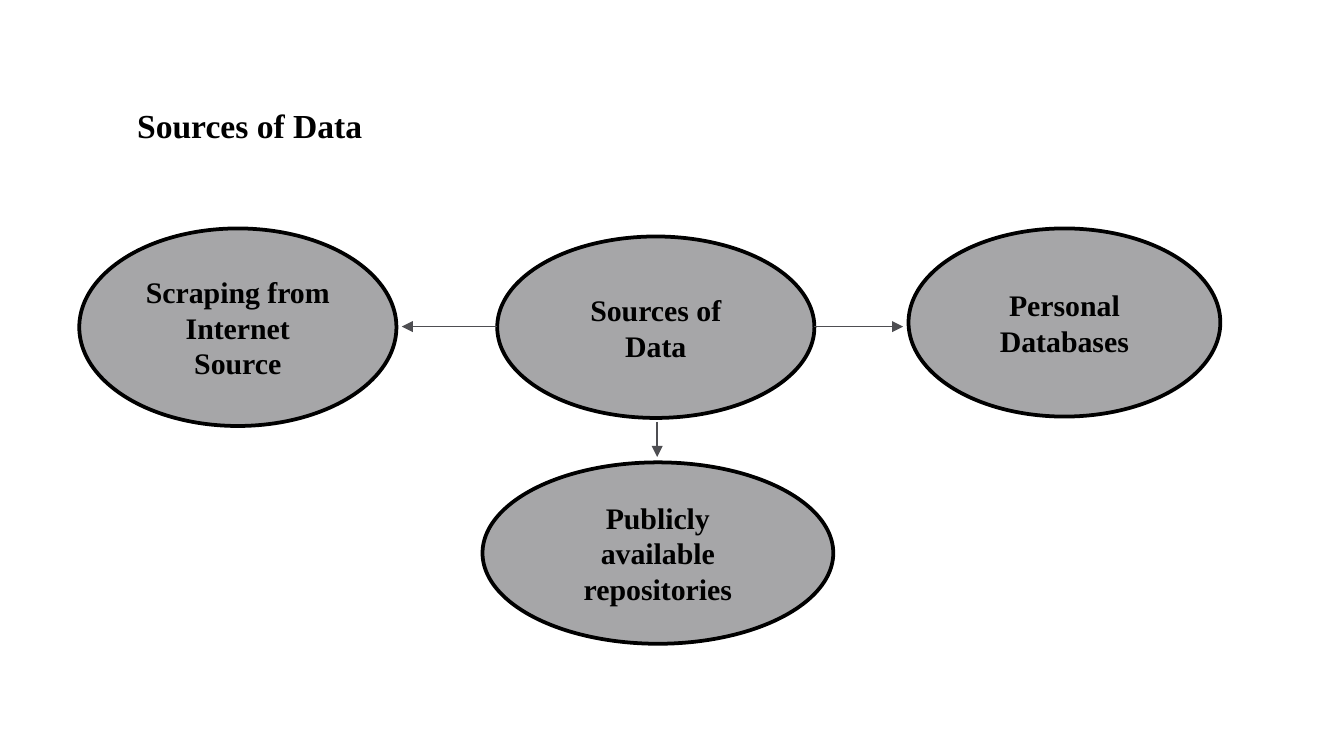
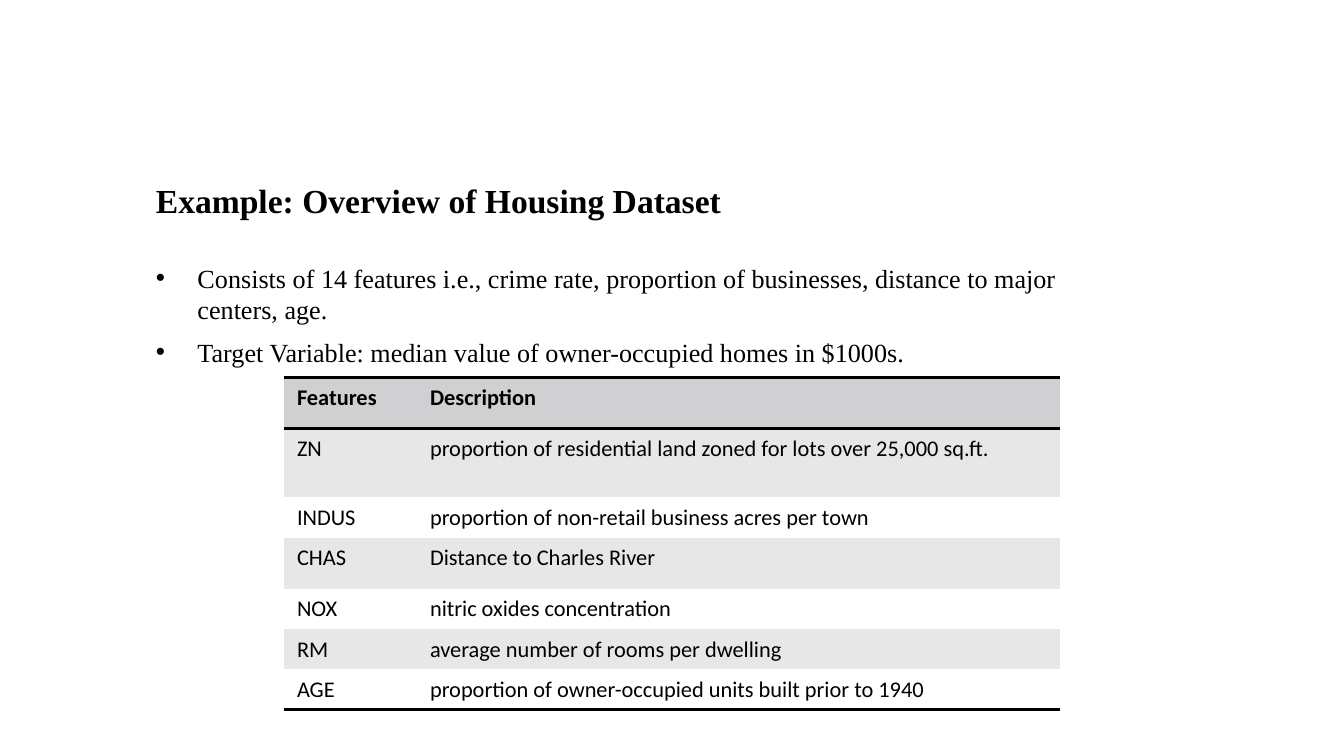
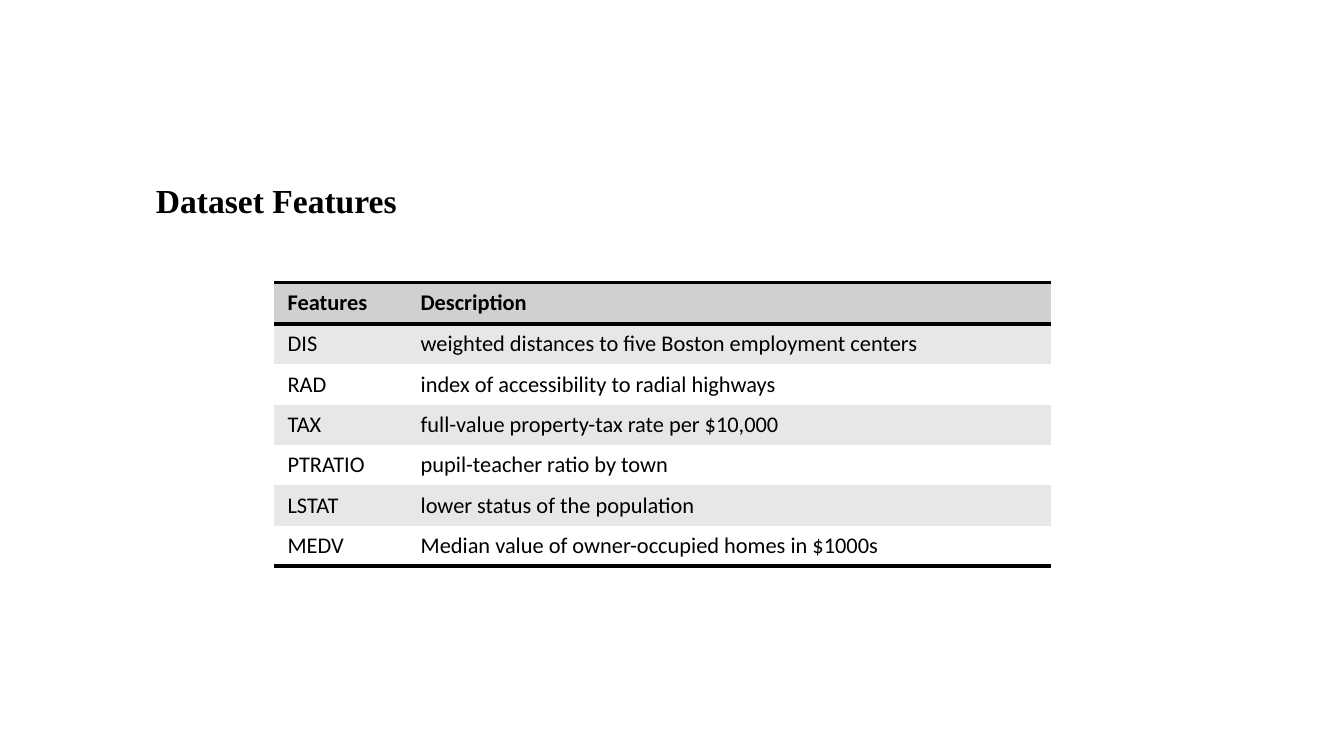
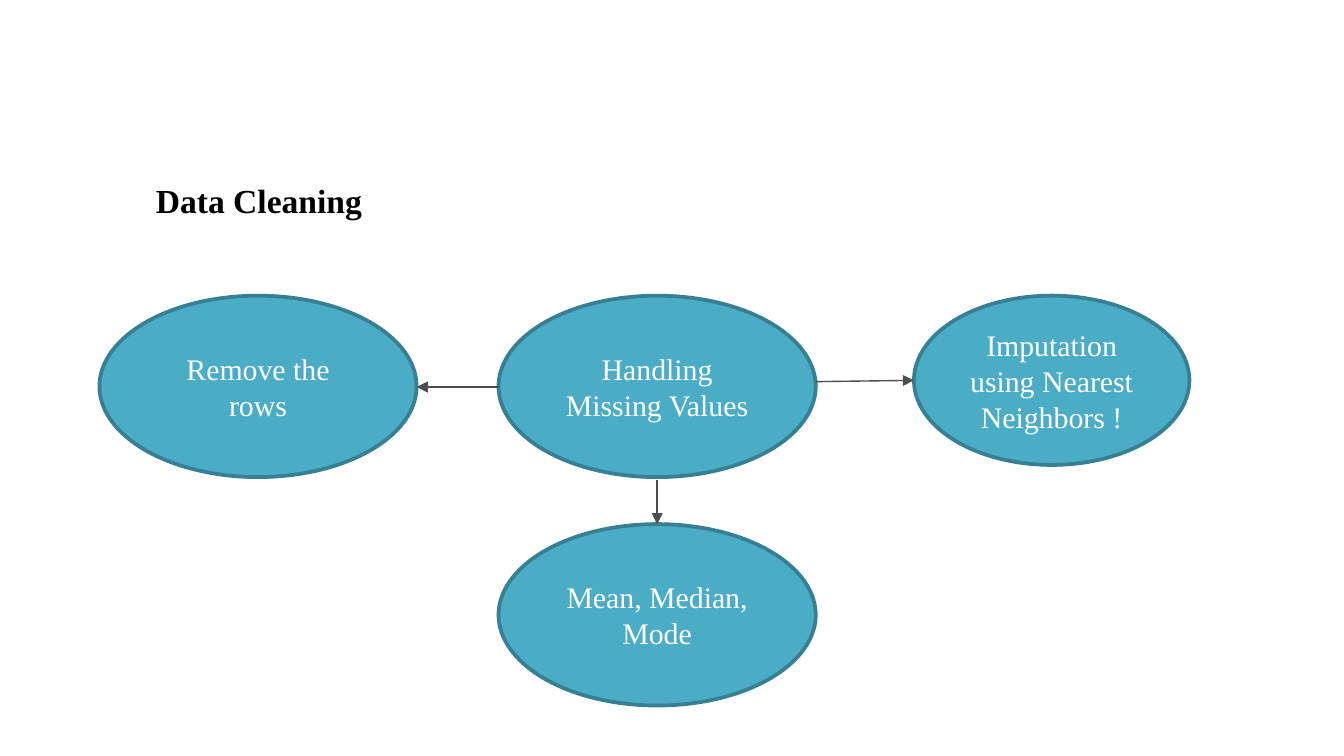
from dataclasses import dataclass

from lxml.etree import SubElement
from pptx import Presentation
from pptx.dml.color import RGBColor
from pptx.enum.shapes import MSO_CONNECTOR, MSO_SHAPE
from pptx.enum.text import MSO_ANCHOR, MSO_AUTO_SIZE, PP_ALIGN
from pptx.oxml.ns import qn
from pptx.util import Inches, Pt

SERIF = "Times New Roman"
SANS = "Calibri"
BLACK = "000000"
WHITE = "FFFFFF"
ARROW = "4E4E52"
HEADER_FILL = "D0D0D2"
BAND_FILL = "E7E7E7"
NO_TABLE_STYLE = "{2D5ABB26-0587-4C30-8999-92F81FD0307C}"
COLUMN_WIDTHS = (0.99, 4.79)


@dataclass(frozen=True)
class EllipseStyle:
    fill: str
    line: str
    font: str
    bold: bool


@dataclass(frozen=True)
class Node:
    text: str
    left: float
    top: float
    width: float
    height: float


@dataclass(frozen=True)
class Arrow:
    x1: float
    y1: float
    x2: float
    y2: float


@dataclass(frozen=True)
class Row:
    feature: str
    description: str
    height: float = 0.3


GRAY = EllipseStyle("A6A6A8", BLACK, BLACK, True)
TEAL = EllipseStyle("4BACC6", "377F92", WHITE, False)

SOURCE_NODES = [
    Node("Scraping from Internet Source", 0.59, 1.7, 2.36, 1.47),
    Node("Personal Databases", 6.76, 1.7, 2.32, 1.4),
    Node("Publicly available repositories", 3.59, 3.44, 2.61, 1.35),
    Node("Sources of Data", 3.7, 1.76, 2.36, 1.35),
]
SOURCE_ARROWS = [
    Arrow(3.7, 2.43, 2.99, 2.43),
    Arrow(4.89, 3.14, 4.89, 3.4),
    Arrow(6.06, 2.43, 6.72, 2.43),
]
CLEANING_NODES = [
    Node("Remove the rows", 0.74, 2.2, 2.36, 1.35),
    Node("Imputation using Nearest Neighbors !", 6.8, 2.2, 2.05, 1.26),
    Node("Mean, Median, Mode", 3.71, 3.9, 2.36, 1.35),
    Node("Handling Missing Values", 3.71, 2.2, 2.36, 1.35),
]
CLEANING_ARROWS = [
    Arrow(3.71, 2.88, 3.1, 2.88),
    Arrow(4.89, 3.57, 4.89, 3.9),
    Arrow(6.07, 2.84, 6.8, 2.83),
]
OVERVIEW_BULLETS = [
    "Consists of 14 features i.e., crime rate, proportion of businesses, "
    "distance to major centers, age.",
    "Target Variable: median value of owner-occupied homes in $1000s.",
]
OVERVIEW_ROWS = [
    Row("Features", "Description", 0.38),
    Row("ZN", "proportion of residential land zoned for lots over 25,000 sq.ft.", 0.51),
    Row("INDUS", "proportion of non-retail business acres per town"),
    Row("CHAS", "Distance to Charles River", 0.38),
    Row("NOX", "nitric oxides concentration"),
    Row("RM", "average number of rooms per dwelling"),
    Row("AGE", "proportion of owner-occupied units built prior to 1940"),
]
FEATURE_ROWS = [
    Row("Features", "Description", 0.31),
    Row("DIS", "weighted distances to ﬁve Boston employment centers"),
    Row("RAD", "index of accessibility to radial highways"),
    Row("TAX", "full-value property-tax rate per $10,000"),
    Row("PTRATIO", "pupil-teacher ratio by town"),
    Row("LSTAT", "lower status of the population"),
    Row("MEDV", "Median value of owner-occupied homes in $1000s"),
]


def rgb(value: str) -> RGBColor:
    return RGBColor.from_string(value)


def format_font(font, size: float, color: str, bold: bool = False, name: str = SERIF) -> None:
    font.name = name
    font.size = Pt(size)
    font.bold = bold
    font.color.rgb = rgb(color)


def format_frame(tf) -> None:
    tf.word_wrap = True
    tf.auto_size = MSO_AUTO_SIZE.SHAPE_TO_FIT_TEXT
    tf.vertical_anchor = MSO_ANCHOR.TOP
    tf.margin_left = tf.margin_right = tf.margin_top = tf.margin_bottom = 0


def add_titled_slide(prs, text: str, left: float = 1.16, top: float = 1.34, width: float = 7.03):
    s = prs.slides.add_slide(prs.slide_layouts[5])
    title = s.shapes.title
    title.left, title.top = Inches(left), Inches(top)
    title.width, title.height = Inches(width), Inches(0.3)
    tf = title.text_frame
    tf.text = text
    format_frame(tf)
    p = tf.paragraphs[0]
    p.alignment = PP_ALIGN.LEFT
    format_font(p.runs[0].font, 18, BLACK, True)
    return s


def add_ellipse(s, node: Node, style: EllipseStyle) -> None:
    sp = s.shapes.add_shape(MSO_SHAPE.OVAL, Inches(node.left), Inches(node.top),
                            Inches(node.width), Inches(node.height))
    sp.shadow.inherit = False
    sp.fill.solid()
    sp.fill.fore_color.rgb = rgb(style.fill)
    sp.line.color.rgb = rgb(style.line)
    sp.line.width = Pt(2)
    tf = sp.text_frame
    tf.text = node.text
    tf.word_wrap = True
    tf.vertical_anchor = MSO_ANCHOR.MIDDLE
    p = tf.paragraphs[0]
    p.alignment = PP_ALIGN.CENTER
    format_font(p.runs[0].font, 16, style.font, style.bold)


def add_arrow(s, arrow: Arrow) -> None:
    cxn = s.shapes.add_connector(MSO_CONNECTOR.STRAIGHT, Inches(arrow.x1), Inches(arrow.y1),
                                 Inches(arrow.x2), Inches(arrow.y2))
    cxn.line.color.rgb = rgb(ARROW)
    cxn.line.width = Pt(0.75)
    SubElement(cxn.line._get_or_add_ln(), qn("a:tailEnd"), type="triangle")
    SubElement(cxn._element.spPr, qn("a:effectLst"))


def add_diagram(s, nodes: list[Node], arrows: list[Arrow], style: EllipseStyle) -> None:
    for node in nodes:
        add_ellipse(s, node, style)
    for arrow in arrows:
        add_arrow(s, arrow)


def add_bullets(s, items: list[str]) -> None:
    tf = s.shapes.add_textbox(Inches(1.16), Inches(1.95), Inches(7.03), Inches(0.79)).text_frame
    tf.text = "\n".join(items)
    format_frame(tf)
    for p in tf.paragraphs:
        p.space_after = Pt(6)
        pPr = p._p.get_or_add_pPr()
        pPr.set("marL", str(Inches(0.31)))
        pPr.set("indent", str(-Inches(0.31)))
        SubElement(pPr, qn("a:buFont"), typeface="Arial")
        SubElement(pPr, qn("a:buChar"), char="•")
        format_font(p.runs[0].font, 14, BLACK)


def add_border(cell, tag: str) -> None:
    ln = SubElement(cell._tc.get_or_add_tcPr(), qn(tag), w=str(Pt(2)))
    fill = SubElement(ln, qn("a:solidFill"))
    SubElement(fill, qn("a:srgbClr"), val=BLACK)


def add_feature_table(s, rows: list[Row], left: float, top: float) -> None:
    height = sum(row.height for row in rows)
    table = s.shapes.add_table(len(rows), len(COLUMN_WIDTHS), Inches(left), Inches(top),
                               Inches(sum(COLUMN_WIDTHS)), Inches(height)).table
    table._tbl.tblPr.find(qn("a:tableStyleId")).text = NO_TABLE_STYLE
    for column, width in zip(table.columns, COLUMN_WIDTHS):
        column.width = Inches(width)
    for i, row in enumerate(rows):
        table.rows[i].height = Inches(row.height)
        header = i == 0
        fill = HEADER_FILL if header else BAND_FILL if i % 2 else WHITE
        for j, text in enumerate((row.feature, row.description)):
            cell = table.cell(i, j)
            cell.text_frame.text = text
            format_font(cell.text_frame.paragraphs[0].runs[0].font, 12, BLACK, header, SANS)
            if header:
                add_border(cell, "a:lnT")
            if header or i == len(rows) - 1:
                add_border(cell, "a:lnB")
            cell.fill.solid()
            cell.fill.fore_color.rgb = rgb(fill)


def main() -> None:
    prs = Presentation()
    prs.slide_width = Inches(10)
    prs.slide_height = prs.slide_width * 9 // 16

    s = add_titled_slide(prs, "Sources of Data", left=1.02, top=0.78)
    add_diagram(s, SOURCE_NODES, SOURCE_ARROWS, GRAY)

    s = add_titled_slide(prs, "Example: Overview of Housing Dataset", width=7.69)
    add_bullets(s, OVERVIEW_BULLETS)
    add_feature_table(s, OVERVIEW_ROWS, 2.11, 2.81)

    s = add_titled_slide(prs, "Dataset Features")
    add_feature_table(s, FEATURE_ROWS, 2.04, 2.1)

    s = add_titled_slide(prs, "Data Cleaning")
    add_diagram(s, CLEANING_NODES, CLEANING_ARROWS, TEAL)

    prs.save("out.pptx")


if __name__ == "__main__":
    main()
